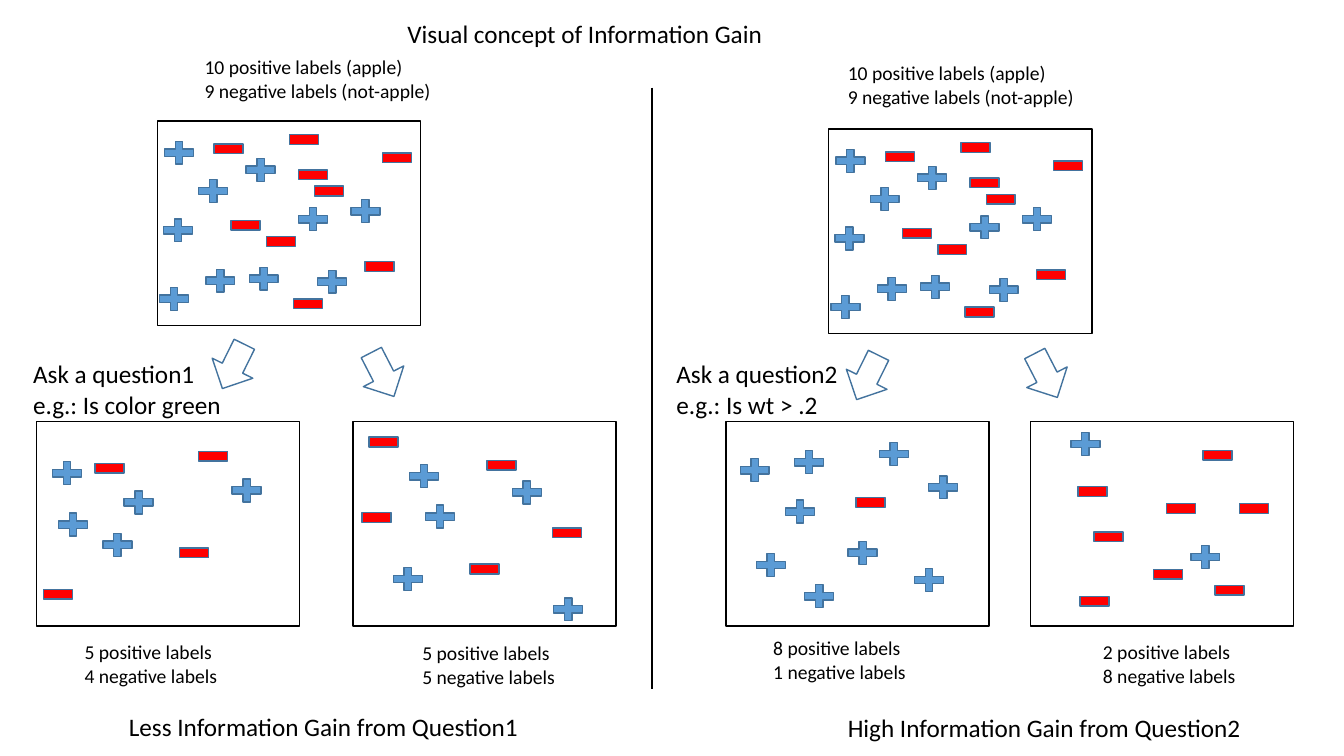
from pptx import Presentation
from pptx.dml.color import RGBColor
from pptx.enum.shapes import MSO_CONNECTOR, MSO_SHAPE
from pptx.enum.text import MSO_ANCHOR, PP_ALIGN
from pptx.oxml.ns import qn
from pptx.util import Pt
from lxml.etree import SubElement

PX = 9144  # 100 px to the inch
BLACK = RGBColor(0x00, 0x00, 0x00)
WHITE = RGBColor(0xFF, 0xFF, 0xFF)
BLUE = RGBColor(0x5B, 0x9B, 0xD5)
RED = RGBColor(0xFF, 0x00, 0x00)
OUTLINE = RGBColor(0x43, 0x73, 0x9E)

prs = Presentation()
prs.slide_width, prs.slide_height = 1333 * PX, 750 * PX
slide = prs.slides.add_slide(prs.slide_layouts[5])


def draw(kind, left, top, width, height, fill, line):
    shape = slide.shapes.add_shape(kind, left * PX, top * PX, width * PX, height * PX)
    shape.shadow.inherit = False
    shape.fill.solid()
    shape.fill.fore_color.rgb = fill
    shape.line.color.rgb = line
    shape.line.width = Pt(1)
    return shape


def write(box, left, top, width, height, text, size):
    box.left, box.top, box.width, box.height = left * PX, top * PX, width * PX, height * PX
    frame = box.text_frame
    frame.word_wrap = False
    frame.vertical_anchor = MSO_ANCHOR.TOP
    frame.text = text
    for paragraph in frame.paragraphs:
        paragraph.alignment = PP_ALIGN.LEFT
        for run in paragraph.runs:
            run.font.size = Pt(size)
            run.font.name = "Calibri"
            run.font.color.rgb = BLACK


# Title
write(slide.shapes.title, 394, 13, 376, 40, "Visual concept of Information Gain", 18)

# Sample boxes: positives and negatives are placed relative to the box corner
all_positives = [(2, 16), (-3, 161), (83, 33), (43, 143), (135, 82),
                 (36, 54), (187, 74), (154, 144), (1, 93), (86, 141)]
all_negatives = [(135, 33), (51, 7), (126, -2), (68, 83), (201, 124),
                 (218, 16), (151, 49), (103, 99), (130, 161)]
samples = [
    (156, 120, all_positives, all_negatives),
    (822, 128, all_positives, all_negatives),
    (36, 418,
     [(11, 36), (82, 65), (189, 53), (17, 87), (61, 107)],
     [(137, 110), (156, 14), (53, 26), (2, 151)]),
    (350, 418,
     [(51, 39), (67, 79), (153, 55), (194, 171), (35, 141)],
     [(111, 126), (128, 23), (4, 75), (193, 90), (11, 0)]),
    (720, 418,
     [(9, 33), (54, 74), (116, 115), (63, 25), (25, 127),
      (196, 50), (147, 17), (73, 158), (182, 142)],
     [(124, 60)]),
    (1022, 418,
     [(35, 7), (154, 119)],
     [(42, 49), (117, 131), (202, 66), (44, 158), (166, 13),
      (58, 94), (178, 147), (130, 66)]),
]
for left, top, positives, negatives in samples:
    draw(MSO_SHAPE.RECTANGLE, left, top, 261, 203, WHITE, BLACK)
    for dx, dy in positives:
        draw(MSO_SHAPE.MATH_PLUS, left + dx, top + dy, 39, 31, BLUE, OUTLINE)
    for dx, dy in negatives:
        draw(MSO_SHAPE.MATH_MINUS, left + dx, top + dy, 39, 41, RED, OUTLINE)

# Arrows from each full sample to its two splits
for left, top, angle in [(209, 339, 26.3), (357, 347, 332.8),
                         (838, 350, 26.3), (1015, 348, 332.8)]:
    arrow = draw(MSO_SHAPE.DOWN_ARROW, left, top, 45, 49, WHITE, OUTLINE)
    arrow.rotation = angle

# Divider between the two questions
divider = slide.shapes.add_connector(
    MSO_CONNECTOR.STRAIGHT, 647 * PX, 87 * PX, 647 * PX, 684 * PX)
divider.line.color.rgb = BLACK
divider.line.width = Pt(1.5)
SubElement(divider._element.spPr, qn("a:effectLst"))

# Counts, questions and conclusions
captions = [
    (193, 50, 248, 57, "10 positive labels (apple)\n9 negative labels (not-apple)", 14),
    (831, 56, 248, 57, "10 positive labels (apple)\n9 negative labels (not-apple)", 14),
    (74, 630, 154, 57, "5 positive labels\n4 negative labels", 14),
    (409, 631, 154, 57, "5 positive labels\n5 negative labels", 14),
    (757, 626, 154, 57, "8 positive labels\n1 negative labels", 14),
    (1084, 630, 154, 57, "2 positive labels\n8 negative labels", 14),
    (23, 351, 209, 71, "Ask a question1\ne.g.: Is color green", 18),
    (661, 351, 183, 71, "Ask a question2\ne.g.: Is wt > .2", 18),
    (118, 701, 411, 40, "Less Information Gain from Question1", 18),
    (831, 702, 415, 40, "High Information Gain from Question2", 18),
]
for caption in captions:
    write(slide.shapes.add_textbox(0, 0, 0, 0), *caption)

prs.save("out.pptx")
